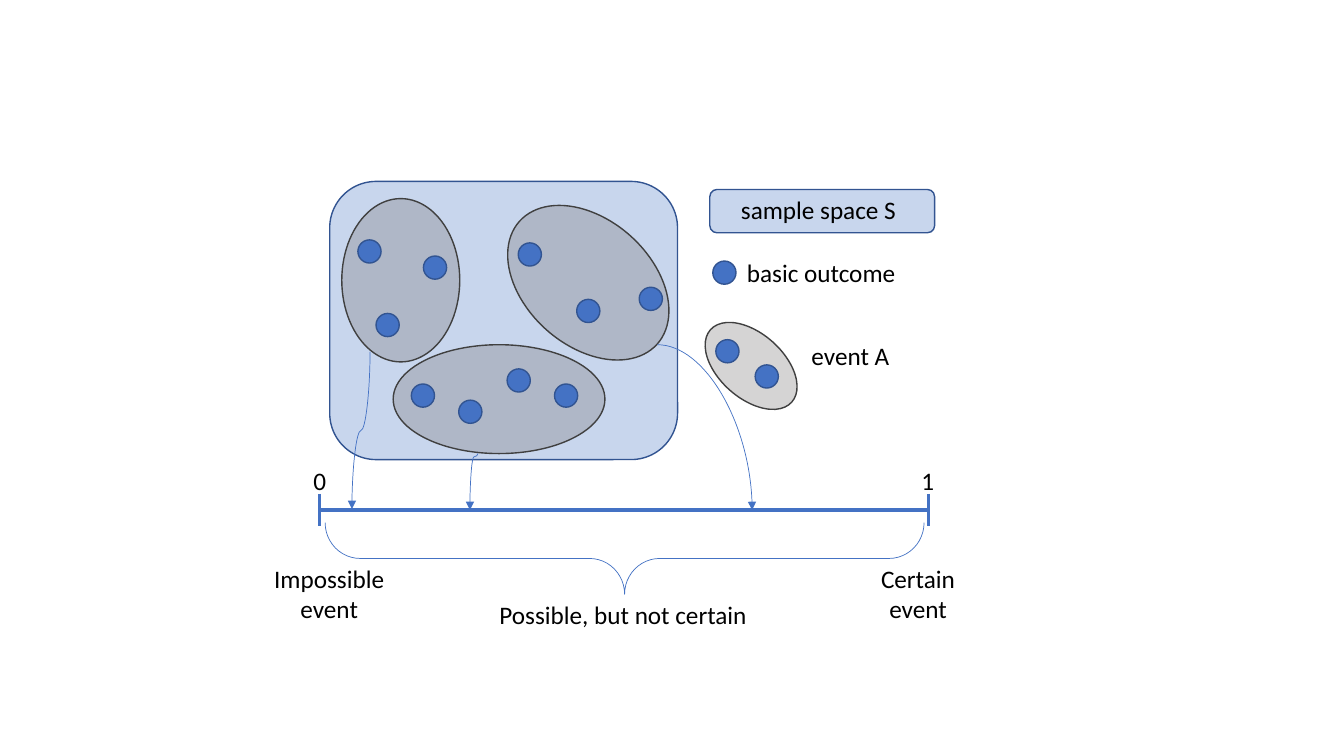
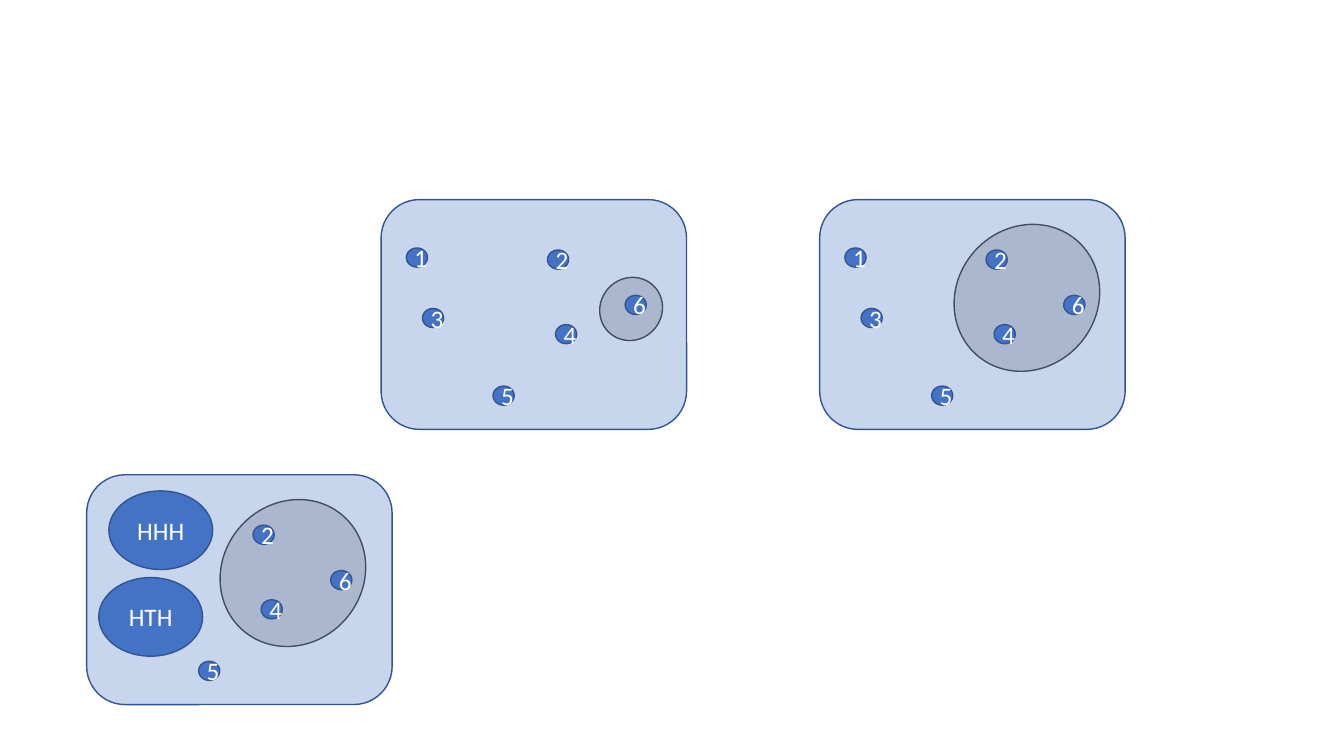
from pptx import Presentation
from pptx.dml.color import RGBColor
from pptx.enum.shapes import MSO_CONNECTOR, MSO_SHAPE
from pptx.enum.text import MSO_ANCHOR, MSO_AUTO_SIZE, PP_ALIGN
from pptx.oxml import parse_xml
from pptx.oxml.ns import nsdecls, qn
from pptx.util import Pt

OVAL, ROUNDED, BRACE = MSO_SHAPE.OVAL, MSO_SHAPE.ROUNDED_RECTANGLE, MSO_SHAPE.LEFT_BRACE
STRAIGHT, CURVE = MSO_CONNECTOR.STRAIGHT, MSO_CONNECTOR.CURVE
LEFT, CENTER = PP_ALIGN.LEFT, PP_ALIGN.CENTER
MIDDLE, GROW = MSO_ANCHOR.MIDDLE, MSO_AUTO_SIZE.SHAPE_TO_FIT_TEXT

EMU_PER_PX = 9144
FONT, FONT_SIZE = "Calibri", 18
BLUE, NAVY, GRAY, CHARCOAL = "4472C4", "325491", "767171", "404040"
BLACK, WHITE = "000000", "FFFFFF"
SPACE_STYLE = (BLUE, NAVY, 29)
EVENT_STYLE = (GRAY, CHARCOAL, 30)
OUTCOME_STYLE = (BLUE, NAVY, 100)
TILT = 311.7

SPACES = [(704, 188, 223, 43), (327, 180, 345, 276)]
EVENTS = [(390, 342, 210, 108, 0), (521, 189, 125, 183, TILT),
          (339, 197, 117, 162, 0), (713, 309, 64, 108, TILT)]
OUTCOME_SIZE = 23
OUTCOMES = [(355, 238), (420, 254), (373, 311), (455, 397), (514, 241), (550, 381),
            (572, 297), (408, 381), (634, 285), (503, 366),
            (707, 259), (710, 337), (749, 362)]
SCALE_LEFT, SCALE_RIGHT, SCALE_Y, TICK = 317, 921, 506, 16
BRACE_BOX = (584, 257, 71, 594)
LABELS = [
    ("0", 301, 457, 43, 40, LEFT),
    ("1", 904, 457, 43, 40, LEFT),
    ("Impossible event", 251, 554, 151, 71, CENTER),
    ("Certain event", 835, 554, 151, 71, CENTER),
    ("Possible, but not certain", 442, 590, 352, 40, CENTER),
    ("sample space S", 725, 188, 209, 40, LEFT),
    ("basic outcome", 731, 250, 196, 40, LEFT),
    ("event A", 795, 333, 108, 40, LEFT),
]
S_CURVES = [(367, 349, 349, 505, 50000), (474, 450, 466, 506, 5900)]

PANEL_SIZE = (303, 228)
DIE_SIZE, COIN_SIZE = (21, 19), (103, 78)
EVENS = {"4": (173, 124), "2": (165, 50), "5": (111, 185), "6": (242, 95)}
DIE = {"1": (25, 48), "3": (41, 108), **EVENS}
COINS = {"HHH": (22, 16), "HTH": (12, 102)}
PANELS = [
    (378, 198, (216, 78, 64, 61), DIE, {}),
    (813, 198, (130, 28, 151, 139), DIE, {}),
    (86, 471, (129, 28, 151, 139), EVENS, COINS),
]


def px(value):
    return round(value * EMU_PER_PX)


def color(hex_string):
    return RGBColor.from_string(hex_string)


def write(box, text, ink, align):
    frame = box.text_frame
    frame.word_wrap = True
    frame.text = text
    para = frame.paragraphs[0]
    para.alignment = align
    for span in para.runs:
        span.font.name = FONT
        span.font.size = Pt(FONT_SIZE)
        span.font.color.rgb = color(ink)


def add_shape(group, kind, bounds, style, rotation=0, text=""):
    fill, line, opacity = style
    shape = group.shapes.add_shape(kind, *map(px, bounds))
    shape.shadow.inherit = False
    shape.rotation = rotation
    shape.fill.solid()
    shape.fill.fore_color.rgb = color(fill)
    if opacity < 100:
        tint = shape.fill._xPr.find(".//" + qn("a:srgbClr"))
        tint.append(parse_xml(f'<a:alpha {nsdecls("a")} val="{opacity * 1000}"/>'))
    shape.line.color.rgb = color(line)
    shape.line.width = Pt(1)
    if text:
        write(shape, text, WHITE, CENTER)
        shape.text_frame.vertical_anchor = MIDDLE


def add_label(group, text, left, top, width, height, align):
    box = group.shapes.add_textbox(*map(px, (left, top, width, height)))
    write(box, text, BLACK, align)
    box.text_frame.auto_size = GROW


def add_line(group, kind, ends, width):
    connector = group.shapes.add_connector(kind, *map(px, ends))
    connector.line.color.rgb = color(BLUE)
    connector.line.width = Pt(width)
    connector._element.spPr.append(parse_xml(f'<a:effectLst {nsdecls("a")}/>'))
    return connector


def add_curve(group, ends, preset, adjustment=None, turn=0):
    connector = add_line(group, CURVE, ends, 0.5)
    connector.line._get_or_add_ln().append(
        parse_xml(f'<a:tailEnd {nsdecls("a")} type="triangle"/>'))
    properties = connector._element.spPr
    geometry = properties.find(qn("a:prstGeom"))
    geometry.set("prst", preset)
    if adjustment is not None:
        geometry.find(qn("a:avLst")).append(
            parse_xml(f'<a:gd {nsdecls("a")} name="adj1" fmla="val {adjustment}"/>'))
    if turn:
        properties.find(qn("a:xfrm")).set("rot", str(turn * 60000))


def add_s_curve(group, x1, y1, x2, y2, adjustment):
    center_x, center_y = (x1 + x2) / 2, (y1 + y2) / 2
    half_run, half_drop = (x1 - x2) / 2, (y2 - y1) / 2
    ends = (center_x - half_drop, center_y - half_run,
            center_x + half_drop, center_y + half_run)
    add_curve(group, ends, "curvedConnector3", adjustment, 90)


def add_scale(group):
    add_line(group, STRAIGHT, (SCALE_LEFT, SCALE_Y, SCALE_RIGHT, SCALE_Y), 3)
    for x in (SCALE_LEFT, SCALE_RIGHT):
        add_line(group, STRAIGHT, (x, SCALE_Y - TICK, x, SCALE_Y + TICK), 2.25)
    brace = group.shapes.add_shape(BRACE, *map(px, BRACE_BOX))
    brace.shadow.inherit = False
    brace.rotation = 270
    brace.adjustments[0] = 0.49
    brace.adjustments[1] = 0.5
    brace.fill.background()
    brace.line.color.rgb = color(BLUE)
    brace.line.width = Pt(0.5)


def build_probability_scale(page):
    group = page.shapes.add_group_shape()
    add_scale(group)
    for bounds in SPACES:
        add_shape(group, ROUNDED, bounds, SPACE_STYLE)
    for *bounds, rotation in EVENTS:
        add_shape(group, OVAL, bounds, EVENT_STYLE, rotation)
    for left, top in OUTCOMES:
        add_shape(group, OVAL, (left, top, OUTCOME_SIZE, OUTCOME_SIZE), OUTCOME_STYLE)
    for label in LABELS:
        add_label(group, *label)
    add_curve(group, (652, 342, 746, SCALE_Y), "curvedConnector2")
    for curve in S_CURVES:
        add_s_curve(group, *curve)


def build_sample_spaces(page):
    for left, top, event, die, coins in PANELS:
        group = page.shapes.add_group_shape()
        x, y, width, height = event
        add_shape(group, OVAL, (left + x, top + y, width, height), EVENT_STYLE, TILT)
        add_shape(group, ROUNDED, (left, top, *PANEL_SIZE), SPACE_STYLE)
        for outcomes, size in ((die, DIE_SIZE), (coins, COIN_SIZE)):
            for text, (x, y) in outcomes.items():
                add_shape(group, OVAL, (left + x, top + y, *size), OUTCOME_STYLE, text=text)


def main():
    deck = Presentation()
    deck.slide_width, deck.slide_height = px(1333), px(750)
    for build in (build_probability_scale, build_sample_spaces):
        build(deck.slides.add_slide(deck.slide_layouts[6]))
    deck.save("out.pptx")


if __name__ == "__main__":
    main()
